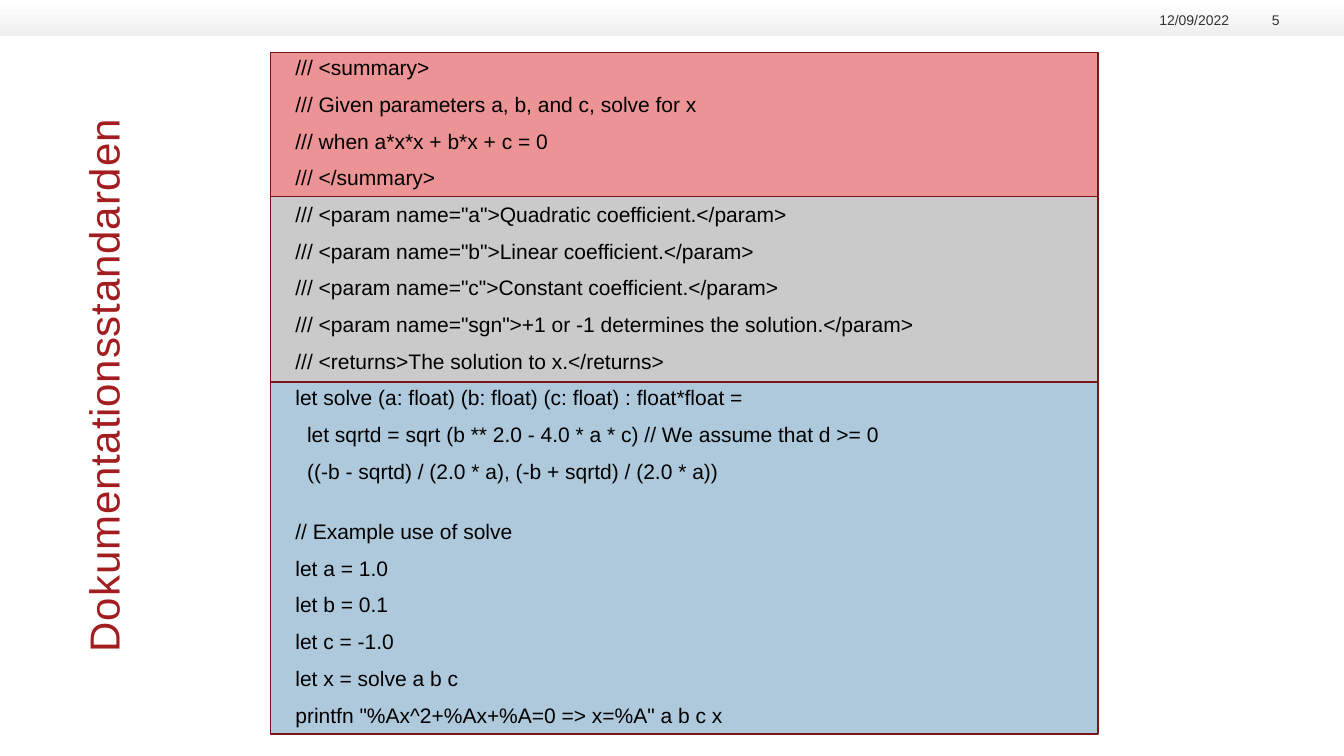
from lxml.etree import SubElement
from pptx import Presentation
from pptx.dml.color import RGBColor
from pptx.enum.shapes import MSO_SHAPE
from pptx.enum.text import MSO_ANCHOR, MSO_AUTO_SIZE, PP_ALIGN
from pptx.oxml.ns import qn
from pptx.util import Inches, Pt

TITLE = "Dokumentationsstandarden"
HEADER = [("12/09/2022", 11.3, 0.89), ("5", 12.27, 0.42)]  # text, left, width
SUMMARY = [
    "/// <summary>",
    "/// Given parameters a, b, and c, solve for x",
    "/// when a*x*x + b*x + c = 0",
    "/// </summary>",
]
PARAMS = [
    '/// <param name="a">Quadratic coefficient.</param>',
    '/// <param name="b">Linear coefficient.</param>',
    '/// <param name="c">Constant coefficient.</param>',
    '/// <param name="sgn">+1 or -1 determines the solution.</param>',
    "/// <returns>The solution to x.</returns>",
]
FUNCTION = [
    "let solve (a: float) (b: float) (c: float) : float*float =",
    "  let sqrtd = sqrt (b ** 2.0 - 4.0 * a * c) // We assume that d >= 0",
    "  ((-b - sqrtd) / (2.0 * a), (-b + sqrtd) / (2.0 * a))",
]
EXAMPLE = [
    "// Example use of solve",
    "let a = 1.0",
    "let b = 0.1",
    "let c = -1.0",
    "let x = solve a b c",
    'printfn "%Ax^2+%Ax+%A=0 => x=%A" a b c x',
]
BANDS = [("EC9395", 1.43), ("CACACA", 1.84), ("AEC9DC", 3.49)]  # fill, height
BAND_LEFT, BAND_TOP, BAND_WIDTH = 2.68, 0.52, 8.21
LINE_GAP, EXAMPLE_GAP = 10, 26.7


def rgb(value):
    return RGBColor.from_string(value)


def place(sp, left, top, width, height):
    sp.left, sp.top = Inches(left), Inches(top)
    sp.width, sp.height = Inches(width), Inches(height)


def write(p, text, size=15, color="000000", align=PP_ALIGN.LEFT, before=0,
          spacing=1.0, tracking=0):
    p.alignment, p.line_spacing, p.space_before = align, spacing, Pt(before)
    r = p.add_run()
    r.text = text
    r.font.name, r.font.size = "Arial", Pt(size)
    r.font.color.rgb = rgb(color)
    if tracking:
        r.font._element.set("spc", str(round(tracking * 100)))


def frame(sp, anchor, inset=None):
    tf = sp.text_frame
    tf.word_wrap, tf.auto_size = True, MSO_AUTO_SIZE.NONE
    tf.vertical_anchor = anchor
    if inset is not None:
        tf.margin_left = tf.margin_top = tf.margin_right = tf.margin_bottom = Inches(inset)
    return tf


def add_rect(s, left, top, width, height):
    sp = s.shapes.add_shape(MSO_SHAPE.RECTANGLE, Inches(left), Inches(top),
                            Inches(width), Inches(height))
    sp.shadow.inherit = False
    return sp


def add_header(s):
    bar = add_rect(s, 0, 0, 13.33, 0.36)
    bar.line.fill.background()
    bar.fill.gradient()
    bar.fill.gradient_angle = 270
    for stop, color, position in zip(bar.fill.gradient_stops, ("FFFFFF", "EEEFEE"), (0, 1)):
        stop.color.rgb, stop.position = rgb(color), position
    for text, left, width in HEADER:
        sp = s.shapes.add_textbox(Inches(left), Inches(0.09), Inches(width), Inches(0.19))
        tf = frame(sp, MSO_ANCHOR.BOTTOM, 0)
        write(tf.paragraphs[0], text, size=10, color="333333", align=PP_ALIGN.RIGHT)


def add_bands(s):
    top = BAND_TOP
    for color, height in BANDS:
        sp = add_rect(s, BAND_LEFT, top, BAND_WIDTH, height)
        sp.fill.solid()
        sp.fill.fore_color.rgb = rgb(color)
        sp.line.color.rgb, sp.line.width = rgb("791518"), Pt(1)
        top += height


def fill_code(sp):
    place(sp, 2.83, 0.52, 8.28, 6.75)
    tf = frame(sp, MSO_ANCHOR.TOP)
    for i, line in enumerate(SUMMARY + PARAMS + FUNCTION + EXAMPLE):
        p = tf.add_paragraph() if i else tf.paragraphs[0]
        gap = EXAMPLE_GAP if line == EXAMPLE[0] else LINE_GAP
        write(p, line, before=gap if i else 0, spacing=0.9)
        pPr = p._p.get_or_add_pPr()
        pPr.set("marL", "0")
        pPr.set("indent", "0")
        SubElement(pPr, qn("a:buNone"))


def fill_title(sp):
    place(sp, -1.26, 2.99, 5.51, 1.45)
    sp.rotation = 270
    tf = frame(sp, MSO_ANCHOR.TOP, 0)
    write(tf.paragraphs[0], TITLE, size=30, color="A31D20", tracking=0.6)


def main():
    prs = Presentation()
    prs.slide_width, prs.slide_height = Inches(13.33), Inches(7.5)
    s = prs.slides.add_slide(prs.slide_layouts[1])
    title, code = s.placeholders
    add_header(s)
    add_bands(s)
    fill_code(code)
    fill_title(title)
    for sp in (code, title):  # bring the text in front of the bands
        s.shapes.element.append(sp.element)
    prs.save("out.pptx")


if __name__ == "__main__":
    main()
